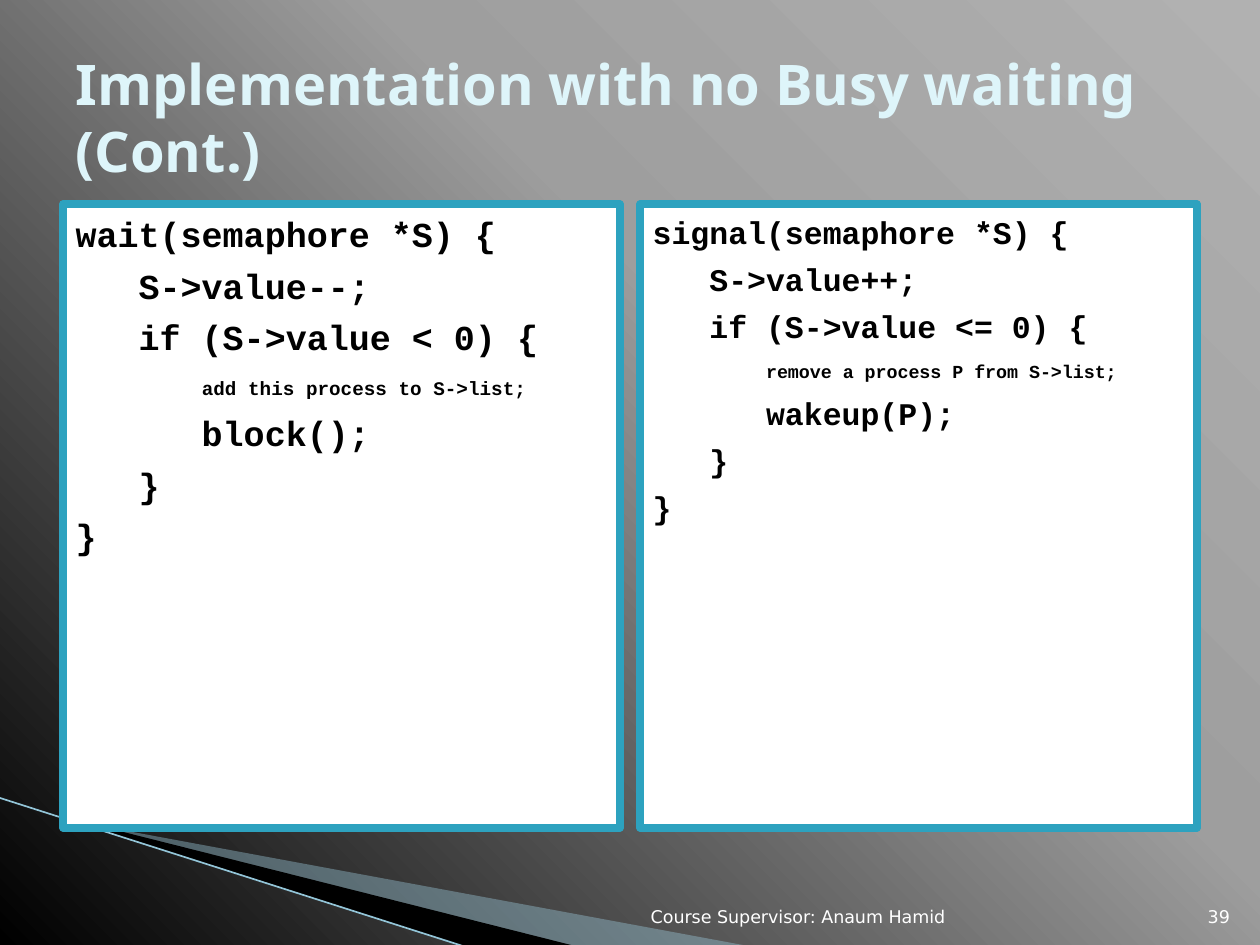
from dataclasses import dataclass

from lxml import etree
from pptx import Presentation, util as u
from pptx.dml.color import RGBColor
from pptx.enum import shapes, text
from pptx.oxml import parse_xml
from pptx.oxml.ns import nsdecls, qn

COLUMNS = 10  # square grid cells across the slide


@dataclass(frozen=True)
class Theme:
    title: str = "DEF5FA"
    code: str = "000000"
    panel: str = "FFFFFF"
    border: str = "2DA2BF"
    footer: str = "FFFFFF"
    wedge: str = "9CCADC"
    shade: str = "000000"
    edge: str = "93C5D8"
    backdrop: tuple = ((0, "B1B1B1"), (40, "9E9E9E"), (100, "000000"))
    title_font: str = "Noto Sans"
    code_font: str = "Courier New"
    footer_font: str = "DejaVu Sans"
    title_size: float = 32
    wait_sizes: tuple = (20, 11)
    signal_sizes: tuple = (18, 10.5)
    footer_size: float = 10
    border_width: float = 4.33
    edge_width: float = 0.95


class Deck:
    """Holds the theme and the current slide; lengths are in grid cells."""

    def __init__(self, prs, theme):
        self.theme = theme
        self.cell = prs.slide_width / COLUMNS
        self.s = prs.slides.add_slide(prs.slide_layouts.get_by_name("Two Content"))

    def emu(self, *cells):
        return [u.Emu(round(c * self.cell)) for c in cells]

    def background(self):
        stops = "".join(
            f'<a:gs pos="{pos * 1000}"><a:srgbClr val="{color}"/></a:gs>'
            for pos, color in self.theme.backdrop)
        self.s.background.fill.solid()
        props = self.s.background._cSld.bg.bgPr
        props.replace(props[0], parse_xml(
            f'<a:gradFill {nsdecls("a")} rotWithShape="1"><a:gsLst>{stops}</a:gsLst>'
            '<a:path path="circle"><a:fillToRect l="100000" b="100000"/></a:path>'
            '</a:gradFill>'))

    def polygon(self, points, color, opacity=100):
        start, *rest = [self.emu(*point) for point in points]
        builder = self.s.shapes.build_freeform(*start)
        builder.add_line_segments(rest, close=True)
        sp = builder.convert_to_shape()
        sp.shadow.inherit = False
        sp.fill.solid()
        sp.fill.fore_color.rgb = RGBColor.from_string(color)
        sp.line.fill.background()
        if opacity < 100:
            clr = sp.fill._xPr.find(".//" + qn("a:srgbClr"))
            etree.SubElement(clr, qn("a:alpha"), val=str(opacity * 1000))

    def line(self, start, end):
        sp = self.s.shapes.add_connector(
            shapes.MSO_CONNECTOR.STRAIGHT, *self.emu(*start, *end))
        sp.line.color.rgb = RGBColor.from_string(self.theme.edge)
        sp.line.width = u.Pt(self.theme.edge_width)
        etree.SubElement(sp._element.spPr, qn("a:effectLst"))

    def place(self, idx, box):
        """Move a placeholder to box and bring it to the front."""
        sp = self.s.placeholders[idx]
        sp.left, sp.top, sp.width, sp.height = self.emu(*box)
        self.s.shapes._spTree.append(sp._element)
        return sp

    def frame(self, sp, anchor):
        tf = sp.text_frame
        tf.word_wrap = True
        tf.auto_size = text.MSO_AUTO_SIZE.NONE
        tf.vertical_anchor = anchor
        return tf

    def run(self, p, words, font, size, color, bold=False):
        r = p.add_run()
        r.text = words
        r.font.name, r.font.size, r.font.bold = font, u.Pt(size), bold
        r.font.color.rgb = RGBColor.from_string(color)

    def title(self, words, box):
        tf = self.frame(self.place(0, box), text.MSO_ANCHOR.MIDDLE)
        p = tf.paragraphs[0]
        p.alignment = text.PP_ALIGN.LEFT
        t = self.theme
        self.run(p, words, t.title_font, t.title_size, t.title, True)

    def code(self, idx, box, lines, sizes):
        """Fill a panel with (level, code, note) lines; a note goes below its line."""
        t = self.theme
        size, note_size = sizes
        sp = self.place(idx, box)
        sp.fill.solid()
        sp.fill.fore_color.rgb = RGBColor.from_string(t.panel)
        sp.line.color.rgb = RGBColor.from_string(t.border)
        sp.line.width = u.Pt(t.border_width)
        etree.SubElement(sp.line._ln, qn("a:round"))
        tf = self.frame(sp, text.MSO_ANCHOR.TOP)
        for i, (level, words, note) in enumerate(lines):
            p = tf.add_paragraph() if i else tf.paragraphs[0]
            p.space_before = u.Pt(4 if i else 0)
            p.line_spacing = 1.06
            props = p._p.get_or_add_pPr()
            props.set("marL", "0")
            props.set("indent", "0")
            etree.SubElement(props, qn("a:buNone"))
            self.run(p, "   " * level + words, t.code_font, size, t.code, True)
            if note:
                p.add_line_break()
                self.run(p, "   " * (level + 1), t.code_font, size, t.code, True)
                self.run(p, note, t.code_font, note_size, t.code, True)

    def footer(self, words, box):
        sp = self.s.shapes.add_textbox(*self.emu(*box))
        p = self.frame(sp, text.MSO_ANCHOR.BOTTOM).paragraphs[0]
        p.alignment = text.PP_ALIGN.RIGHT
        t = self.theme
        self.run(p, words, t.footer_font, t.footer_size, t.footer)


def function_lines(head, change, test, note, call):
    return [(0, head, ""), (1, change, ""), (1, test, note),
            (2, call, ""), (1, "}", ""), (0, "}", "")]


def main():
    prs = Presentation()
    prs.slide_width, prs.slide_height = u.Inches(10), u.Inches(7.5)
    theme = Theme()
    deck = Deck(prs, theme)
    margin, gap, top, height = 0.5, 0.16, 1.62, 4.95
    width = (COLUMNS - 2 * margin - gap) / 2

    deck.background()
    deck.polygon([(0.55, 6.51), (5.95, 7.51), (4.56, 7.51), (0.55, 6.5)],
                 theme.wedge, 40)
    deck.polygon([(0.53, 6.49), (4.57, 7.51), (3.72, 7.52), (0.54, 6.5)], theme.shade)
    deck.line((-0.01, 6.33), (3.71, 7.52))

    panels = [
        (theme.wait_sizes, function_lines(
            "wait(semaphore *S) {", "S->value--;", "if (S->value < 0) {",
            "add this process to S->list;", "block();")),
        (theme.signal_sizes, function_lines(
            "signal(semaphore *S) {", "S->value++;", "if (S->value <= 0) {",
            "remove a process P from S->list;", "wakeup(P);")),
    ]
    for i, (sizes, lines) in enumerate(panels):
        deck.code(i + 1, (margin + i * (width + gap), top, width, height), lines, sizes)

    deck.footer("39", (9.46, 7.01, 0.4, 0.4))
    deck.title("Implementation with no Busy waiting (Cont.)",
               (margin, 0.3, COLUMNS - 2 * margin, 1.25))
    deck.footer("Course Supervisor: Anaum Hamid", (4.79, 7.01, 2.81, 0.4))
    prs.save("out.pptx")


if __name__ == "__main__":
    main()
